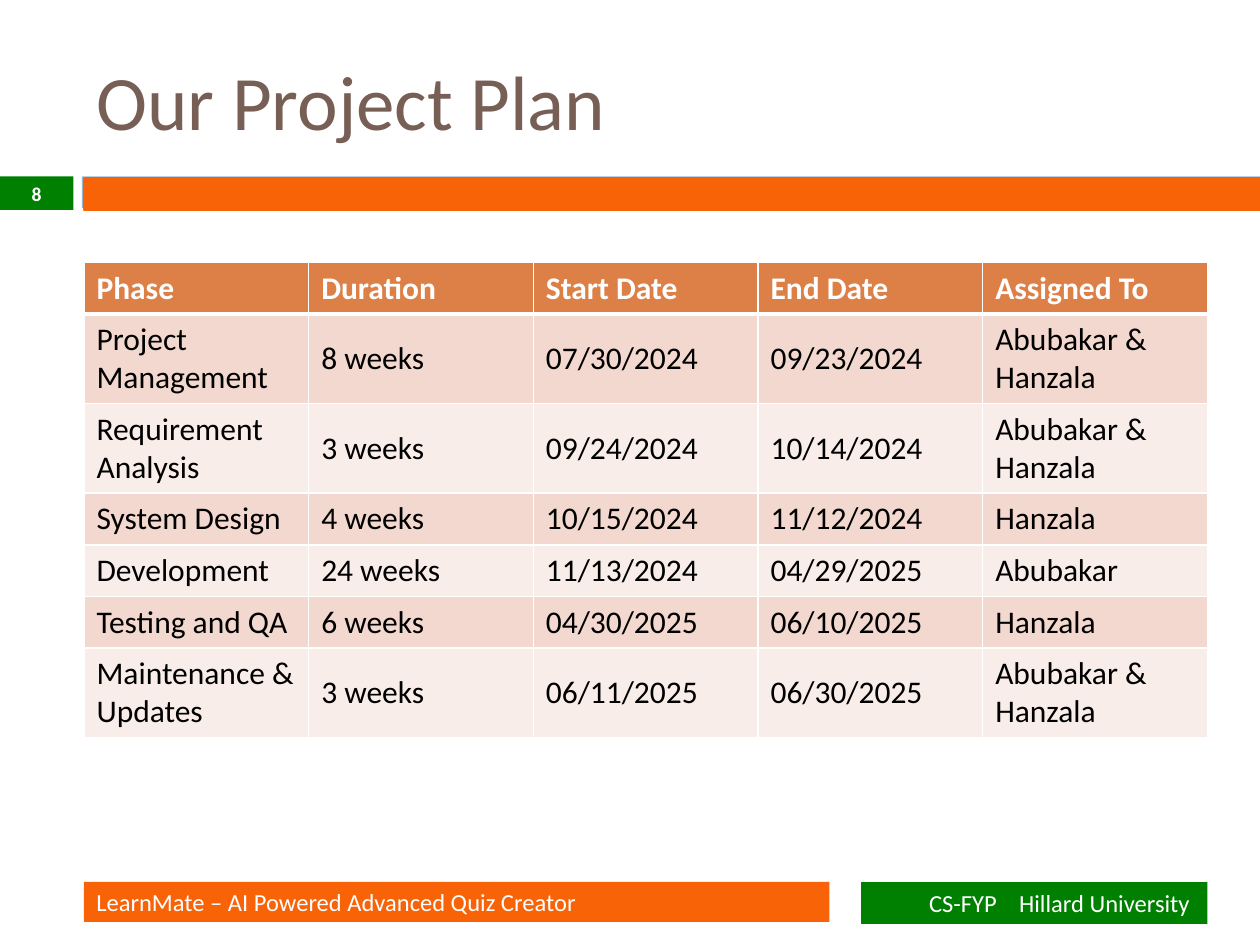
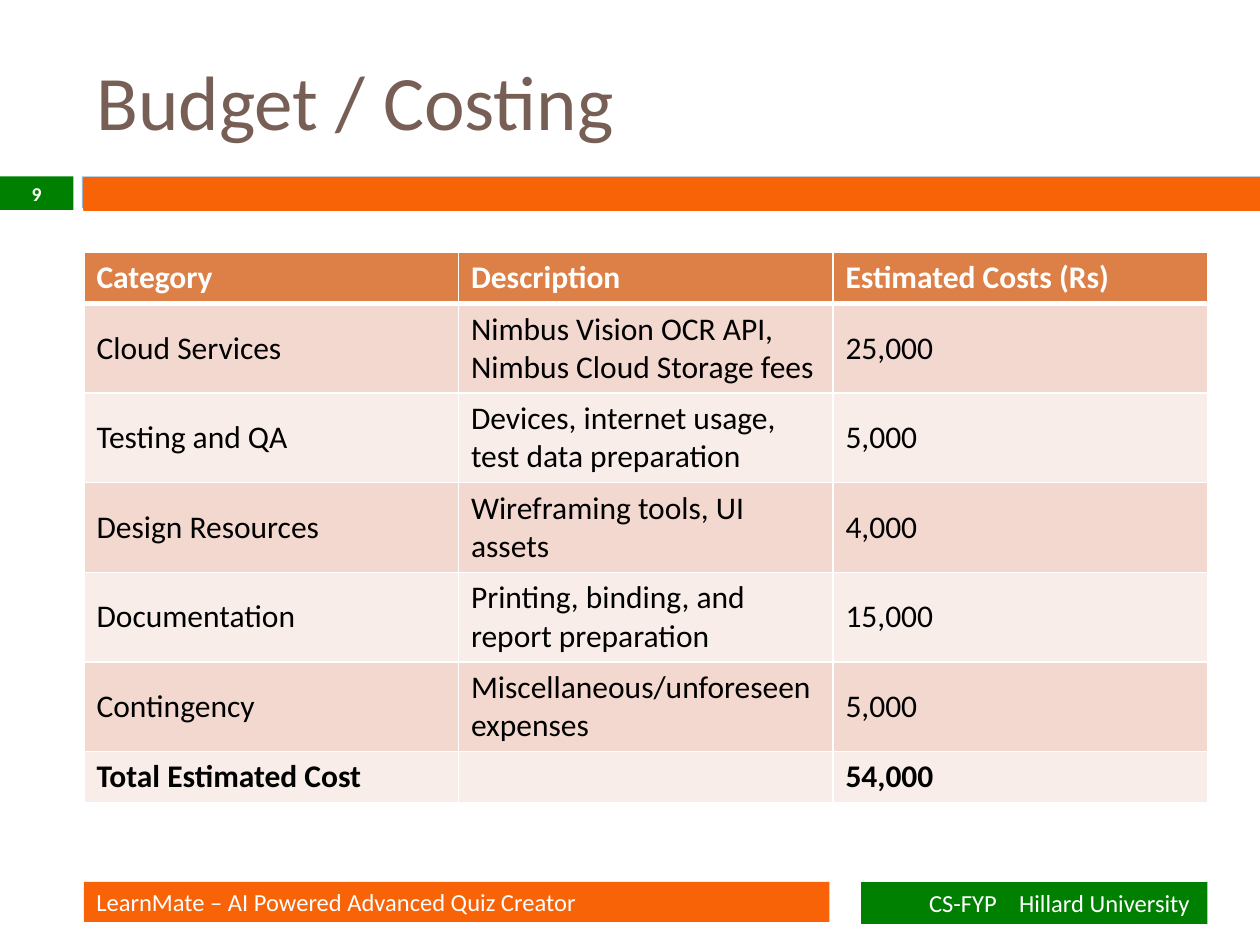
from dataclasses import dataclass
from typing import Any

from lxml.etree import SubElement
from pptx import Presentation
from pptx.dml.color import RGBColor as RGB
from pptx.enum.shapes import MSO_SHAPE as Shape
from pptx.enum.text import MSO_ANCHOR as Anchor, PP_ALIGN as Align
from pptx.oxml.ns import qn
from pptx.util import Inches, Pt

COLORS = {
    "title": "775F55",
    "orange": "F86308",
    "blue": "94B6D2",
    "green": "008000",
    "header": "DD8047",
    "odd": "F2D8CF",
    "even": "F9EDE9",
    "white": "FFFFFF",
    "black": "000000",
}
UNIT = Inches(10) // 120
ROW_HEIGHT, LINE_HEIGHT = 4.92, 3.6
TITLE_FONT = {"name": "Calibri", "size": Pt(44), "bold": False}
CELL_FONT = {"name": "Calibri", "size": Pt(18)}
FOOTER_FONT = {"name": "Calibri", "size": Pt(14), "bold": False}
NUMBER_FONT = {"name": "Calibri", "size": Pt(11.2), "bold": True}
PROJECT = "LearnMate – AI Powered Advanced Quiz Creator"
COURSE, SCHOOL = "CS-FYP", "Hillard University"


@dataclass(frozen=True)
class Box:
    col: float
    row: float
    cols: float
    rows: float

    def emu(self) -> tuple[int, ...]:
        return tuple(round(v * UNIT) for v in (self.col, self.row, self.cols, self.rows))


@dataclass(frozen=True)
class Bar:
    box: Box
    color: str
    line: float = 0


@dataclass(frozen=True)
class TableSlide:
    number: int
    title: str
    top: float
    rows: list[tuple[str, ...]]
    lines: tuple[int, ...]
    has_total: bool = False


TITLE = Box(8, 3, 100, 13)
RULES = (
    Bar(Box(7.8, 16.8, 112.2, 3), "blue"),
    Bar(Box(8, 17, 112, 3), "orange", 1.5),
)
PROJECT_BAR = Bar(Box(8, 84, 71, 3.8), "orange")
NUMBER_BAR = Bar(Box(0, 16.8, 7, 3.2), "green")
SCHOOL_BAR = Bar(Box(82, 84, 33, 4), "green")

SLIDES = (
    TableSlide(8, "Our Project Plan", 25, [
        ("Phase", "Duration", "Start Date", "End Date", "Assigned To"),
        ("Project Management", "8 weeks", "07/30/2024", "09/23/2024", "Abubakar & Hanzala"),
        ("Requirement Analysis", "3 weeks", "09/24/2024", "10/14/2024", "Abubakar & Hanzala"),
        ("System Design", "4 weeks", "10/15/2024", "11/12/2024", "Hanzala"),
        ("Development", "24 weeks", "11/13/2024", "04/29/2025", "Abubakar"),
        ("Testing and QA", "6 weeks", "04/30/2025", "06/10/2025", "Hanzala"),
        ("Maintenance & Updates", "3 weeks", "06/11/2025", "06/30/2025", "Abubakar & Hanzala"),
    ], (1, 2, 2, 1, 1, 1, 2)),
    TableSlide(9, "Budget / Costing", 24, [
        ("Category", "Description", "Estimated Costs (Rs)"),
        ("Cloud Services", "Nimbus Vision OCR API, Nimbus Cloud Storage fees", "25,000"),
        ("Testing and QA", "Devices, internet usage, test data preparation", "5,000"),
        ("Design Resources", "Wireframing tools, UI assets", "4,000"),
        ("Documentation", "Printing, binding, and report preparation", "15,000"),
        ("Contingency", "Miscellaneous/unforeseen expenses", "5,000"),
        ("Total Estimated Cost", "", "54,000"),
    ], (1, 2, 2, 2, 2, 2, 1), has_total=True),
)


def rgb(name: str) -> RGB:
    return RGB.from_string(COLORS[name])


def add_run(p: Any, text: str, fmt: dict[str, Any], color: str) -> Any:
    r = p.add_run()
    r.text = text
    for key, value in fmt.items():
        setattr(r.font, key, value)
    r.font.color.rgb = rgb(color)
    return r


def add_bar(s: Any, bar: Bar) -> Any:
    sp = s.shapes.add_shape(Shape.RECTANGLE, *bar.box.emu())
    sp.shadow.inherit = False
    sp.fill.solid()
    sp.fill.fore_color.rgb = rgb(bar.color)
    if bar.line:
        sp.line.color.rgb = rgb(bar.color)
        sp.line.width = Pt(bar.line)
    else:
        sp.line.fill.background()
    return sp


def add_label(s: Any, bar: Bar, align: Any) -> Any:
    tf = add_bar(s, bar).text_frame
    tf.word_wrap = True
    tf.vertical_anchor = Anchor.MIDDLE
    tf.margin_top = tf.margin_bottom = 0
    tf.paragraphs[0].alignment = align
    return tf


def add_title(s: Any, text: str) -> None:
    sp = s.shapes.title
    sp.left, sp.top, sp.width, sp.height = TITLE.emu()
    tf = sp.text_frame
    tf.vertical_anchor = Anchor.MIDDLE
    p = tf.paragraphs[0]
    p.alignment = Align.LEFT
    add_run(p, text, TITLE_FONT, "title")


def add_frame(s: Any, number: int) -> None:
    for rule in RULES:
        add_bar(s, rule)
    tf = add_label(s, PROJECT_BAR, Align.LEFT)
    add_run(tf.paragraphs[0], PROJECT, FOOTER_FONT, "white")
    tf = add_label(s, NUMBER_BAR, Align.CENTER)
    add_run(tf.paragraphs[0], str(number), NUMBER_FONT, "white")
    tf = add_label(s, SCHOOL_BAR, Align.RIGHT)
    tf.margin_right = Inches(0.14)
    p = tf.paragraphs[0]
    add_run(p, COURSE, FOOTER_FONT, "white")
    gap = add_run(p, " ", FOOTER_FONT, "white")
    gap._r.get_or_add_rPr().set("spc", "950")
    add_run(p, SCHOOL, FOOTER_FONT, "white")


def set_borders(cell: Any, widths: dict[str, float]) -> None:
    tc_pr = cell._tc.get_or_add_tcPr()
    for side, width in widths.items():
        ln = SubElement(tc_pr, qn(f"a:ln{side}"), w=str(Pt(width)))
        fill = SubElement(ln, qn("a:solidFill"))
        SubElement(fill, qn("a:srgbClr"), val=COLORS["white"])


def add_grid(s: Any, plan: TableSlide) -> None:
    heights = [ROW_HEIGHT + LINE_HEIGHT * (n - 1) for n in plan.lines]
    box = Box(8, plan.top, 107, sum(heights))
    n_cols = len(plan.rows[0])
    table = s.shapes.add_table(len(plan.rows), n_cols, *box.emu()).table
    for col in table.columns:
        col.width = round(box.cols * UNIT / n_cols)
    last = len(plan.rows) - 1
    for i, (texts, height) in enumerate(zip(plan.rows, heights)):
        table.rows[i].height = round(height * UNIT)
        fill = "header" if i == 0 else "odd" if i % 2 else "even"
        bold = i == 0 or (plan.has_total and i == last)
        widths = {"L": 1, "R": 1, "T": 3 if i == 1 else 1, "B": 3 if i == 0 else 1}
        for j, text in enumerate(texts):
            cell = table.cell(i, j)
            set_borders(cell, widths)
            cell.fill.solid()
            cell.fill.fore_color.rgb = rgb(fill)
            cell.vertical_anchor = Anchor.MIDDLE
            if text:
                add_run(cell.text_frame.paragraphs[0], text,
                        CELL_FONT | {"bold": bold}, "black" if i else "white")


def main() -> None:
    prs = Presentation()
    prs.slide_width, prs.slide_height = 120 * UNIT, 90 * UNIT
    for plan in SLIDES:
        s = prs.slides.add_slide(prs.slide_layouts.get_by_name("Title Only"))
        add_title(s, plan.title)
        add_grid(s, plan)
        add_frame(s, plan.number)
    prs.save("out.pptx")


if __name__ == "__main__":
    main()
